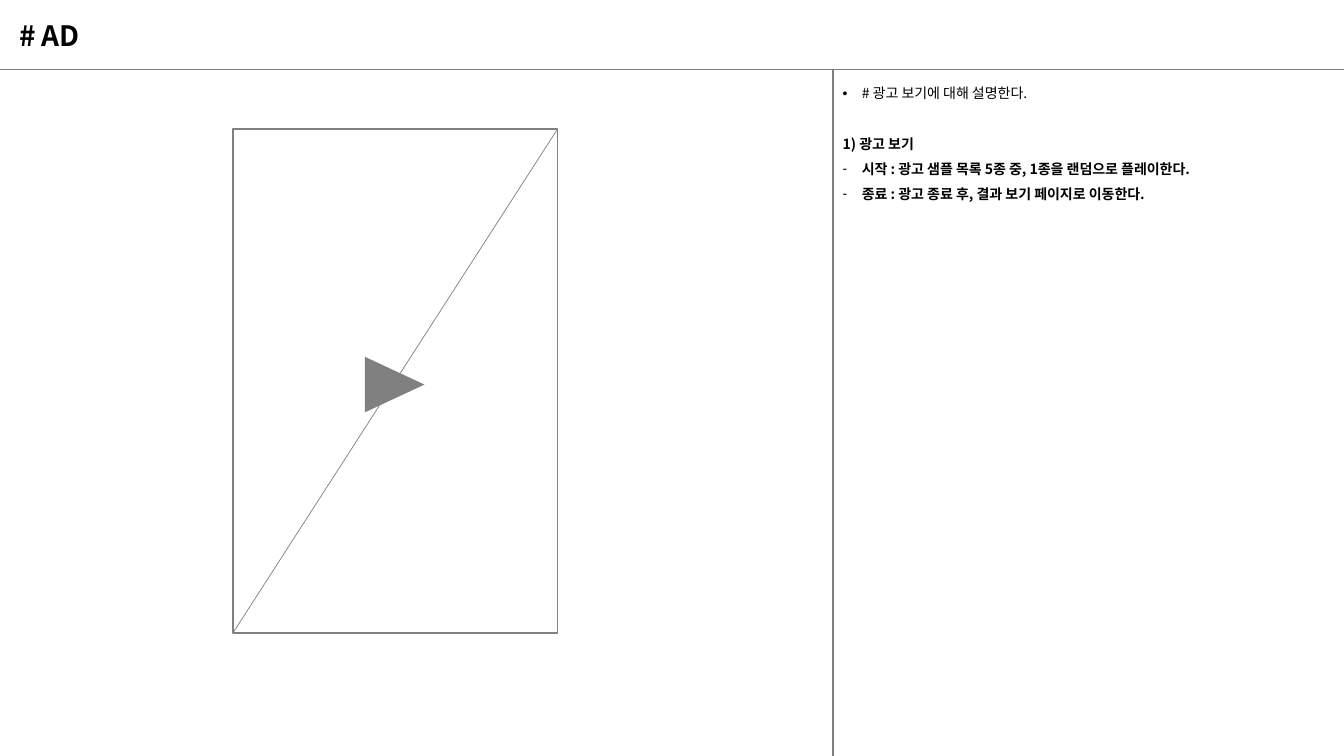
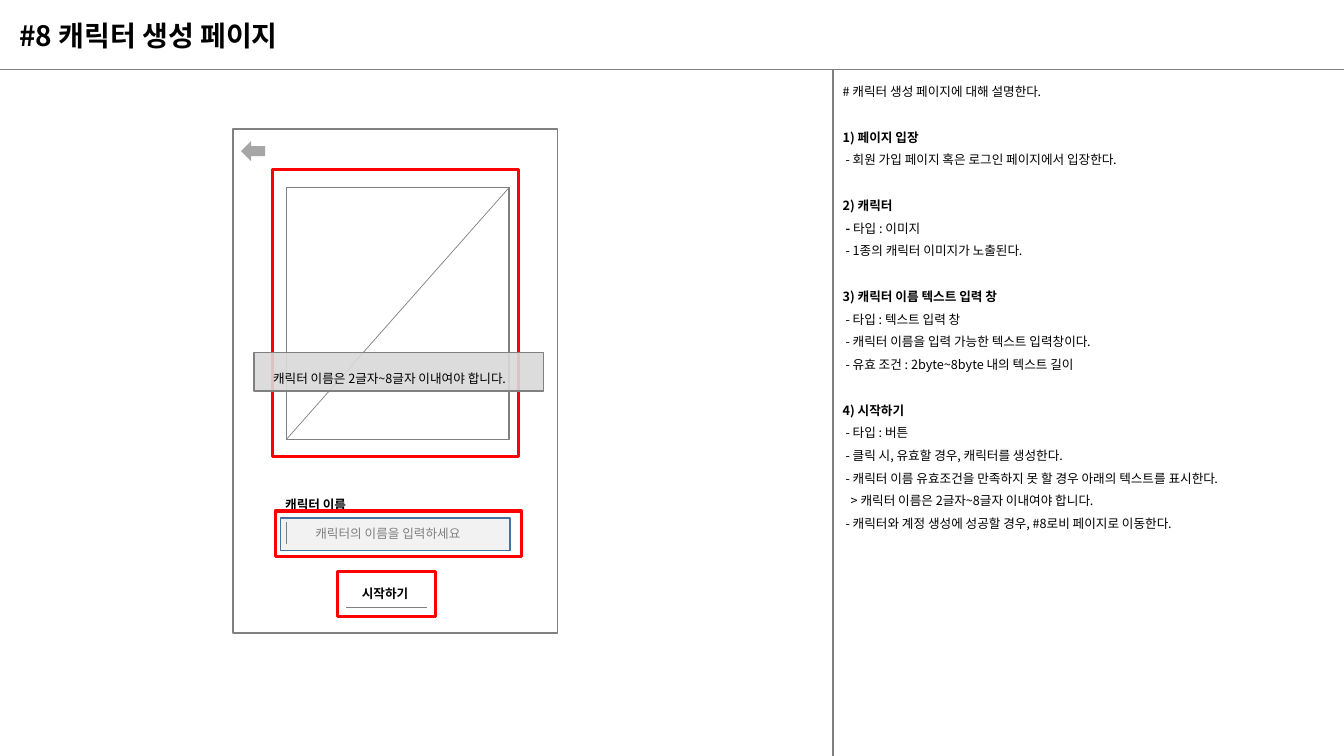
from pptx import Presentation
from pptx import util as u
from pptx.dml import color as dml
from pptx.enum import shapes, text
from pptx.oxml import ns, xmlchemy

FONT = "Noto Sans CJK KR"
BLACK, GRAY, RED = "000000", "808080", "FF0000"
WIDTH, HEIGHT = 13.33, 7.5
HEADER_Y, NOTES_X = 0.69, 8.26
PHONE = (2.31, 1.28, 3.22, 5)
BULLET_INDENT = 0.19


def rgb(value):
    return dml.RGBColor.from_string(value)


def add_xml(parent, tag, **attributes):
    element = xmlchemy.OxmlElement(tag)
    for name, value in attributes.items():
        element.set(name, value)
    parent.append(element)


class Wireframe:
    """Holds the shared style and the slide being drawn."""

    def __init__(self):
        self.presentation = Presentation()
        self.presentation.slide_width = u.Inches(WIDTH)
        self.presentation.slide_height = u.Inches(HEIGHT)
        self.slide = None

    def start_slide(self, title):
        layout = self.presentation.slide_layouts[6]
        self.slide = self.presentation.slides.add_slide(layout)
        self.box(*PHONE, line=GRAY)
        self.line(0, HEADER_Y, WIDTH, HEADER_Y, 1)
        self.line(NOTES_X, HEIGHT, NOTES_X, HEADER_Y, 1)
        self.label(title, 0.09, 0.13, 4.88, 0.44, size=20, bold=True)

    def box(self, left, top, width, height, kind="RECTANGLE", fill=None,
            line=None, weight=1, opacity=None):
        shape = self.slide.shapes.add_shape(
            getattr(shapes.MSO_SHAPE, kind),
            *map(u.Inches, (left, top, width, height)))
        shape.shadow.inherit = False
        if fill:
            shape.fill.solid()
            shape.fill.fore_color.rgb = rgb(fill)
        else:
            shape.fill.background()
        if opacity:
            fill_color = shape.element.spPr.find(".//" + ns.qn("a:srgbClr"))
            add_xml(fill_color, "a:alpha", val=str(opacity * 1000))
        if line:
            shape.line.color.rgb = rgb(line)
            shape.line.width = u.Pt(weight)
        else:
            shape.line.fill.background()
        return shape

    def line(self, x1, y1, x2, y2, weight=0.5):
        connector = self.slide.shapes.add_connector(
            shapes.MSO_CONNECTOR.STRAIGHT, *map(u.Inches, (x1, y1, x2, y2)))
        connector.line.color.rgb = rgb(GRAY)
        connector.line.width = u.Pt(weight)
        add_xml(connector.element.spPr, "a:effectLst")

    def crossed_box(self, left, top, width, height):
        self.line(left + width, top, left, top + height)
        self.box(left, top, width, height, line=GRAY)

    def highlight(self, left, top, width, height):
        self.box(left, top, width, height, line=RED, weight=2.25)

    def text_frame(self, left, top, width, height):
        textbox = self.slide.shapes.add_textbox(
            *map(u.Inches, (left, top, width, height)))
        textbox.text_frame.word_wrap = True
        return textbox.text_frame

    def format_run(self, run, size, bold=False, color=BLACK):
        run.font.size = u.Pt(size)
        run.font.bold = bold
        run.font.name = FONT
        run.font.color.rgb = rgb(color)
        add_xml(run.font._element, "a:ea", typeface=FONT)

    def label(self, words, left, top, width, height=0.25, size=9,
              bold=False, color=BLACK):
        frame = self.text_frame(left, top, width, height)
        frame.vertical_anchor = text.MSO_ANCHOR.MIDDLE
        frame.text = words
        self.format_run(frame.paragraphs[0].runs[0], size, bold, color)

    def notes(self, rows, size, pitch, place=(NOTES_X, 0.71, 5.07, 5.1)):
        """Each row is (style, words); a heading opens a new block."""
        frame = self.text_frame(*place)
        frame.text = "\n".join(words for _, words in rows)
        for paragraph, (style, _) in zip(frame.paragraphs, rows):
            paragraph.line_spacing = u.Pt(pitch)
            if style == "heading":
                paragraph.space_before = u.Pt(pitch)
            properties = paragraph._p.get_or_add_pPr()
            if style in ("dot", "dash"):
                indent = u.Inches(BULLET_INDENT)
                properties.set("marL", str(indent))
                properties.set("indent", str(-indent))
                add_xml(properties, "a:buFont", typeface="Arial")
                add_xml(properties, "a:buChar",
                        char="•" if style == "dot" else "-")
            elif style == "nested":
                properties.set("marL", str(u.Inches(0.08)))
            for run in paragraph.runs:
                self.format_run(run, size, style in ("heading", "dash"))
        return frame


wireframe = Wireframe()

# Slide 1: video advertisement
wireframe.start_slide("# AD")
play = wireframe.box(3.64, 3.52, 0.55, 0.59, "ISOSCELES_TRIANGLE", fill=GRAY)
play.rotation = 90
left, top, width, height = PHONE
wireframe.line(left + width, top, left, top + height)
wireframe.notes([
    ("dot", "# 광고 보기에 대해 설명한다."),
    ("heading", "1) 광고 보기"),
    ("dash", "시작 : 광고 샘플 목록 5종 중, 1종을 랜덤으로 플레이한다."),
    ("dash", "종료 : 광고 종료 후, 결과 보기 페이지로 이동한다."),
], size=10, pitch=18)

# Slide 2: character creation
wireframe.start_slide("#8 캐릭터 생성 페이지")
frame = wireframe.notes([
    ("plain", "# 캐릭터 생성 페이지에 대해 설명한다."),
    ("heading", "1) 페이지 입장"),
    ("plain", " - 회원 가입 페이지 혹은 로그인 페이지에서 입장한다."),
    ("heading", "2) 캐릭터"),
    ("plain", " - 타입 : 이미지"),
    ("plain", " - 1종의 캐릭터 이미지가 노출된다."),
    ("heading", "3) 캐릭터 이름 텍스트 입력 창"),
    ("plain", " - 타입 : 텍스트 입력 창"),
    ("plain", " - 캐릭터 이름을 입력 가능한 텍스트 입력창이다."),
    ("plain", " - 유효 조건 : 2byte~8byte 내의 텍스트 길이"),
    ("heading", "4) 시작하기"),
    ("plain", " - 타입 : 버튼"),
    ("plain", " - 클릭 시, 유효할 경우, 캐릭터를 생성한다."),
    ("plain", " - 캐릭터 이름 유효조건을 만족하지 못 할 경우 아래의 텍스트를 표시한다."),
    ("nested", "> 캐릭터 이름은 2글자~8글자 이내여야 합니다."),
    ("plain", " - 캐릭터와 계정 생성에 성공할 경우, #8로비 페이지로 이동한다."),
], size=9, pitch=16.25)

# Bold dash before the character type
type_row = frame.paragraphs[4]
type_row.runs[0].text = " - "
type_row.runs[0].font.bold = True
type_value = type_row.add_run()
type_value.text = "타입 : 이미지"
wireframe.format_run(type_value, 9)

# Back arrow and name field
wireframe.box(2.39, 1.4, 0.24, 0.2, "LEFT_ARROW", fill="A6A6A6")
wireframe.box(2.78, 5.14, 2.28, 0.32, fill="F2F2F2", line="43739E")
wireframe.label("캐릭터의 이름을 입력하세요", 3.03, 5.17, 1.8, color=GRAY)
wireframe.line(2.84, 5.18, 2.84, 5.4)
wireframe.label("캐릭터 이름", 2.73, 4.88, 0.88, bold=True)

# Start button
wireframe.label("시작하기", 3.49, 5.76, 0.71, bold=True)
wireframe.line(4.24, 6.03, 3.43, 6.03)

# Character image and highlighted areas
wireframe.crossed_box(2.84, 1.86, 2.21, 2.5)
for area in ((3.35, 5.67, 0.97, 0.45), (2.73, 5.07, 2.44, 0.45),
             (2.7, 1.68, 2.44, 2.85)):
    wireframe.highlight(*area)

# Validation message
wireframe.box(2.52, 3.5, 2.87, 0.38, fill="D9D9D9", line=GRAY, opacity=90)
wireframe.notes([("plain", "캐릭터 이름은 2글자~8글자 이내여야 합니다.")],
                size=9, pitch=16.25, place=(2.61, 3.56, 2.78, 0.3))

wireframe.presentation.save("out.pptx")
